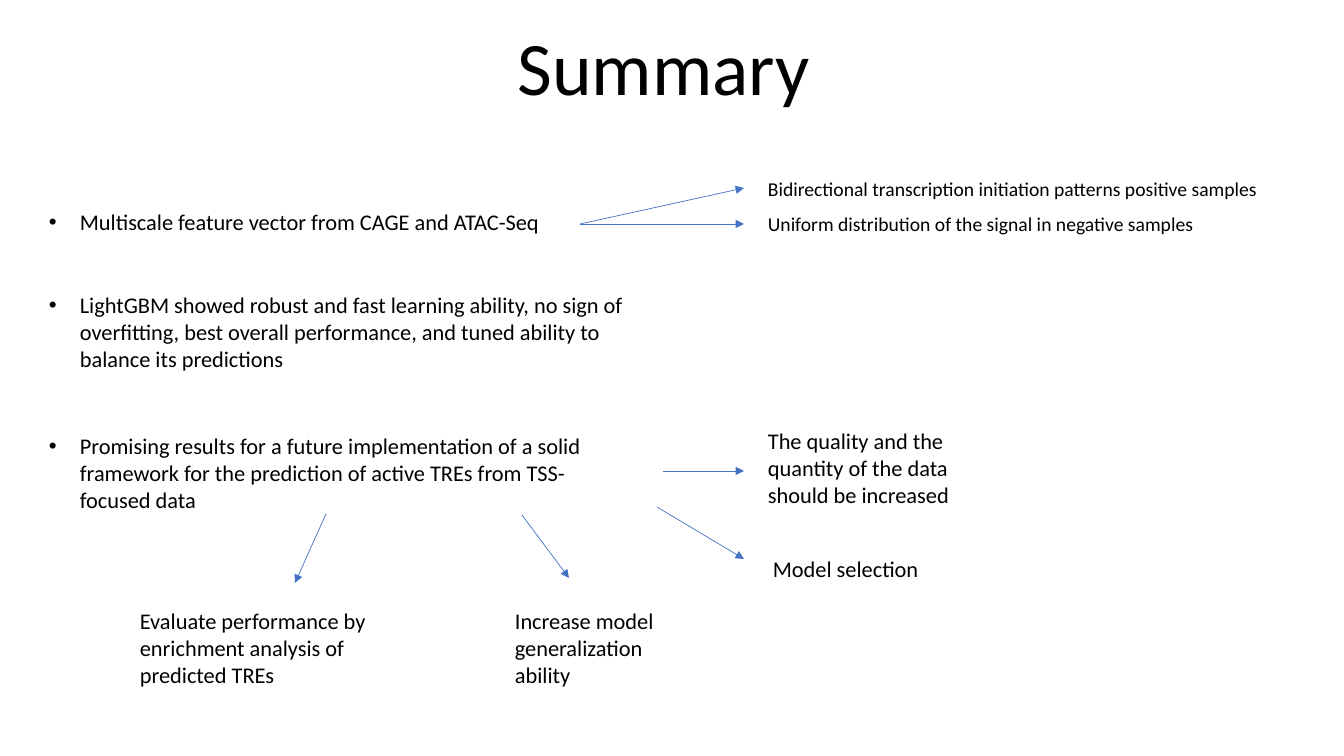
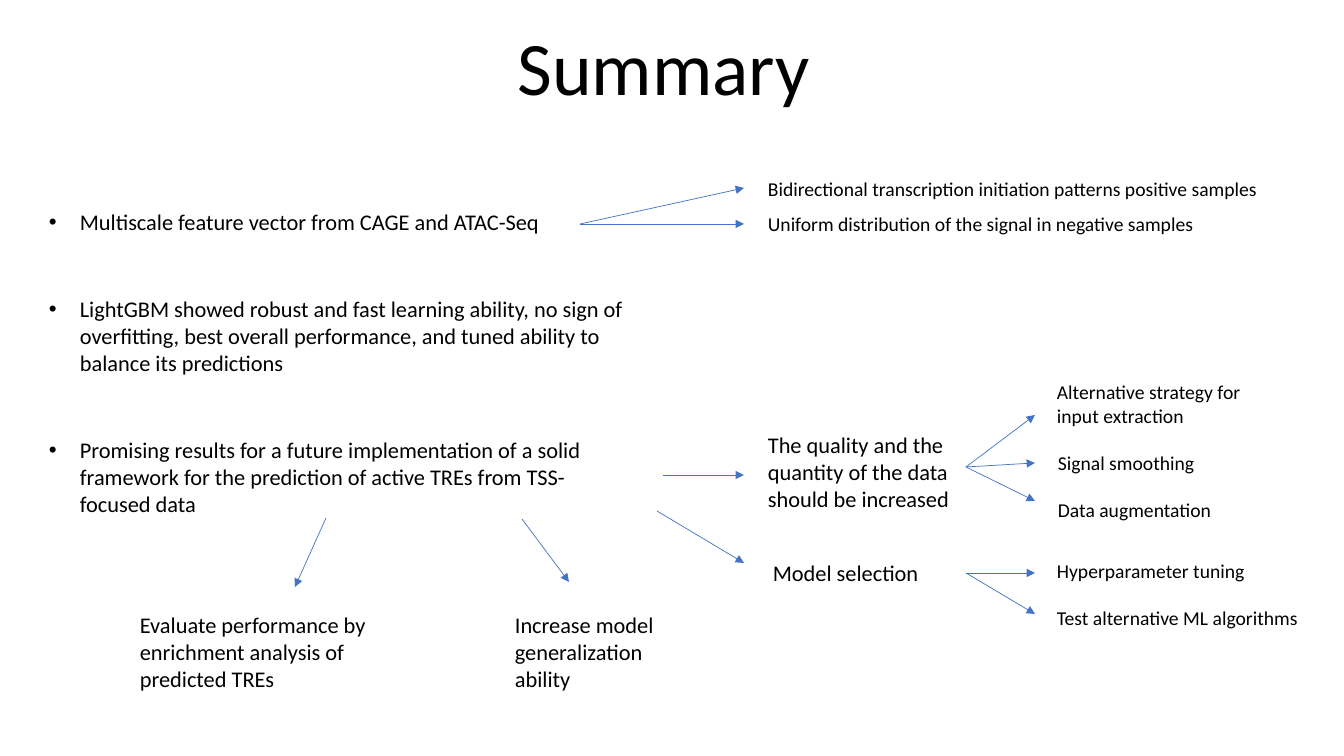
from dataclasses import dataclass
from typing import NamedTuple

from lxml import etree
from pptx import Presentation
from pptx.dml.color import RGBColor
from pptx.enum.shapes import MSO_CONNECTOR
from pptx.enum.text import PP_ALIGN
from pptx.oxml.ns import qn
from pptx.slide import Slide
from pptx.util import Emu, Pt

LINE = MSO_CONNECTOR.STRAIGHT
LEFT = PP_ALIGN.LEFT
MID = PP_ALIGN.CENTER
SCALE = 914400 / 100.8


@dataclass(frozen=True)
class Theme:
    font: str = "Calibri"
    ink: RGBColor = RGBColor(0x00, 0x00, 0x00)
    blue: RGBColor = RGBColor(0x44, 0x72, 0xC4)
    head: int = 54
    body: int = 16
    small: int = 14
    gap: int = 17
    rule: float = 0.5
    hang: int = 31


THEME = Theme()


class Note(NamedTuple):
    left: int
    top: int
    width: int
    height: int
    lines: tuple[str, ...]
    size: int = THEME.body
    align: PP_ALIGN = LEFT
    dot: bool = False
    lead: float = 1.0
    gap: int = 0


class Fan(NamedTuple):
    start: tuple[int, int]
    ends: tuple[tuple[int, int], ...]


def px(count: int) -> Emu:
    return Emu(round(count * SCALE))


def add_dot(para) -> None:
    props = para._p.get_or_add_pPr()
    props.set("marL", str(px(THEME.hang)))
    props.set("indent", str(-px(THEME.hang)))
    etree.SubElement(props, qn("a:buFont")).set("typeface", "Arial")
    etree.SubElement(props, qn("a:buChar")).set("char", "•")


def draw_note(slide: Slide, note: Note, shift: int = 0) -> None:
    box = slide.shapes.add_textbox(
        px(note.left), px(note.top + shift), px(note.width), px(note.height)
    )
    frame = box.text_frame
    frame.word_wrap = True
    frame.text = "\n".join(note.lines)
    for rank, para in enumerate(frame.paragraphs):
        para.alignment = note.align
        para.line_spacing = note.lead
        if rank and note.gap:
            para.space_before = Pt(note.gap)
        para.font.name = THEME.font
        para.font.size = Pt(note.size)
        para.font.color.rgb = THEME.ink
        if note.dot:
            add_dot(para)


def draw_fan(slide: Slide, fan: Fan, shift: int = 0) -> None:
    left, top = fan.start
    for right, base in fan.ends:
        arrow = slide.shapes.add_connector(
            LINE, px(left), px(top + shift), px(right), px(base + shift)
        )
        arrow.line.color.rgb = THEME.blue
        arrow.line.width = Pt(THEME.rule)
        tail = etree.SubElement(arrow.line._get_or_add_ln(), qn("a:tailEnd"))
        tail.set("type", "triangle")
        etree.SubElement(arrow._element.spPr, qn("a:effectLst"))


def draw_all(
    slide: Slide, notes: tuple[Note, ...], fans: tuple[Fan, ...], shift: int = 0
) -> None:
    for note in notes:
        draw_note(slide, note, shift)
    for fan in fans:
        draw_fan(slide, fan, shift)


TOP_NOTES = (
    Note(-32, 15, 1391, 193, ("Summary",), THEME.head, MID),
    Note(39, 203, 599, 64,
         ("Multiscale feature vector from CAGE and ATAC-Seq",), dot=True),
    Note(758, 160, 524, 168,
         ("Bidirectional transcription initiation patterns positive samples",
          "Uniform distribution of the signal in negative samples"),
         THEME.small, lead=1.5),
)
TOP_FANS = (Fan((580, 224), ((744, 224), (744, 188))),)

PLAN_NOTES = (
    Note(39, 286, 599, 92,
         ("LightGBM showed robust and fast learning ability, no sign of "
          "overfitting, best overall performance, and tuned ability to "
          "balance its predictions",), dot=True),
    Note(39, 427, 599, 92,
         ("Promising results for a future implementation of a solid "
          "framework for the prediction of active TREs from TSS-focused data",),
         dot=True),
    Note(130, 602, 249, 92,
         ("Evaluate performance by enrichment analysis of predicted TREs",)),
    Note(505, 602, 181, 92, ("Increase model generalization ability",)),
    Note(758, 422, 243, 92,
         ("The quality and the quantity of the data should be increased",)),
    Note(763, 550, 181, 37, ("Model selection",)),
)
PLAN_FANS = (
    Fan((663, 471), ((744, 471),)),
    Fan((657, 507), ((744, 559),)),
    Fan((522, 515), ((569, 578),)),
    Fan((326, 514), ((295, 583),)),
)

STEP_NOTES = (
    Note(1047, 375, 267, 89,
         ("Alternative strategy for", "input extraction"), THEME.small),
    Note(1048, 446, 279, 82,
         ("Signal smoothing", "Data augmentation"), THEME.small, gap=THEME.gap),
    Note(1047, 554, 267, 112,
         ("Hyperparameter tuning", "Test alternative ML algorithms"),
         THEME.small, gap=THEME.gap),
)
STEP_FANS = (
    Fan((966, 467), ((1035, 415), (1035, 463), (1035, 501))),
    Fan((966, 573), ((1035, 573), (1035, 614))),
)


def main() -> None:
    deck = Presentation()
    deck.slide_width, deck.slide_height = px(1344), px(756)
    blank = deck.slide_layouts[6]
    for shift, steps in ((0, False), (4, True)):
        slide = deck.slides.add_slide(blank)
        draw_all(slide, TOP_NOTES, TOP_FANS)
        draw_all(slide, PLAN_NOTES, PLAN_FANS, shift)
        if steps:
            draw_all(slide, STEP_NOTES, STEP_FANS)
    deck.save("out.pptx")


main()
